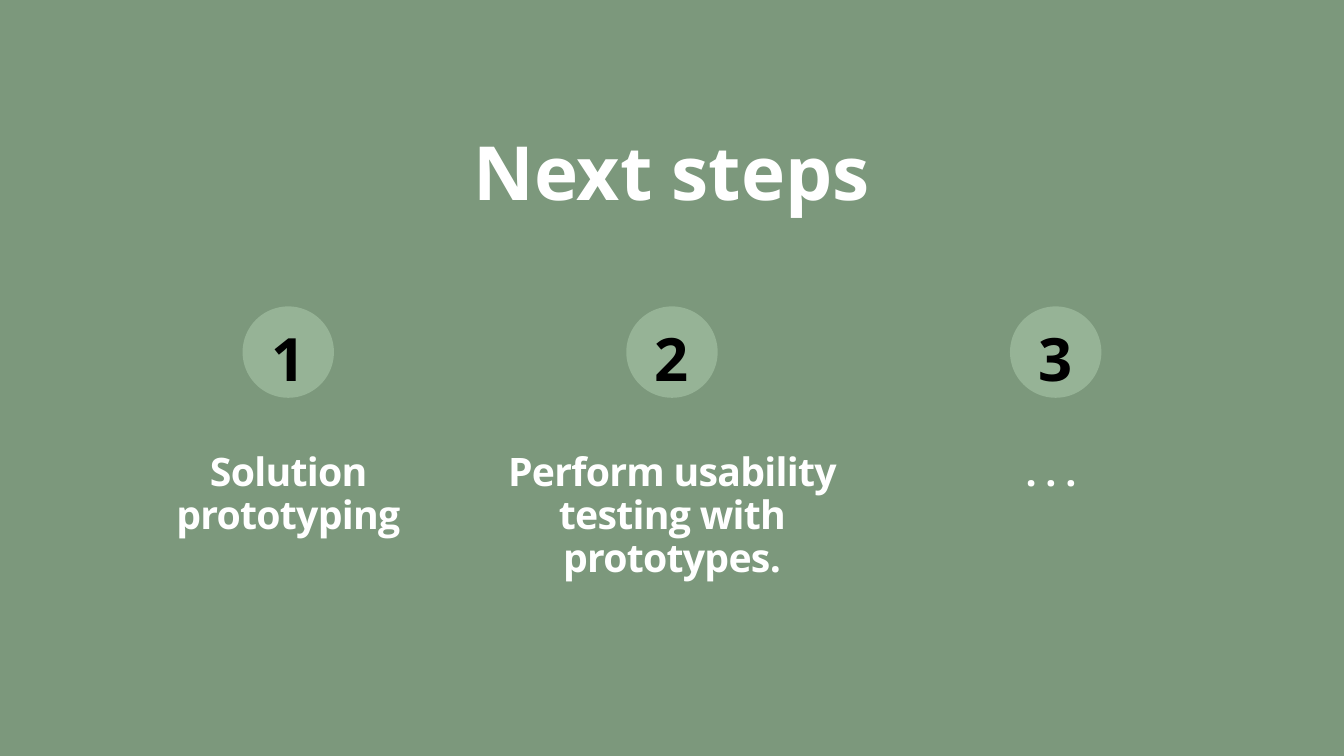
from pptx import Presentation
from pptx.dml.color import RGBColor as RGB
from pptx.enum.shapes import MSO_SHAPE as Shape
from pptx.enum.text import PP_ALIGN as Align
from pptx.util import Inches, Pt

TITLE = "Next steps"
STEPS = [
    ("Solution prototyping", 1.29),
    ("Perform usability testing with prototypes.", 1.92),
    (". . . ", 0.65),
]
COLORS = {"back": "7C987C", "disc": "96B396", "light": "FFFFFF", "dark": "000000"}
FONT = "Open Sans"
WIDTH, HEIGHT = 20, 11.25
PITCH, DISC, LABEL = 5.71, 1.36, 5.01


def paint(fill, name):
    fill.solid()
    fill.fore_color.rgb = RGB.from_string(COLORS[name])


def add_text(shapes, text, mid, top, width, height, size, lead, color, track=0):
    box = shapes.add_textbox(
        Inches(mid - width / 2), Inches(top), Inches(width), Inches(height)
    )
    frame = box.text_frame
    frame.word_wrap = True
    frame.margin_left = frame.margin_right = 0
    frame.margin_top = frame.margin_bottom = 0
    para = frame.paragraphs[0]
    para.alignment = Align.CENTER
    para.line_spacing = Pt(lead)
    font = para.font
    font.name, font.size, font.bold = FONT, Pt(size), True
    font.color.rgb = RGB.from_string(COLORS[color])
    run = para.add_run()
    run.text = text
    if track:
        run._r.get_or_add_rPr().set("spc", str(round(track * 100)))


def add_badge(shapes, number, mid):
    group = shapes.add_group_shape().shapes
    disc = group.add_shape(
        Shape.OVAL, Inches(mid - DISC / 2), Inches(4.56), Inches(DISC), Inches(DISC)
    )
    disc.shadow.inherit = False
    paint(disc.fill, "disc")
    disc.line.fill.background()
    add_text(group, str(number), mid, 4.46, DISC, 1.31, 64, 100.5, "dark", -1.6)


def main():
    deck = Presentation()
    deck.slide_width, deck.slide_height = Inches(WIDTH), Inches(HEIGHT)
    slide = deck.slides.add_slide(deck.slide_layouts[6])
    paint(slide.background.fill, "back")
    shapes = slide.shapes
    add_text(shapes, TITLE, WIDTH / 2, 1.87, 11.88, 1.33, 80, 96, "light")
    for i, (text, height) in enumerate(STEPS):
        mid = WIDTH / 2 + (i - 1) * PITCH
        add_text(shapes, text, mid, 6.71, LABEL, height, 42, 46.2, "light", -0.8)
        add_badge(shapes, i + 1, mid)
    deck.save("out.pptx")


if __name__ == "__main__":
    main()
